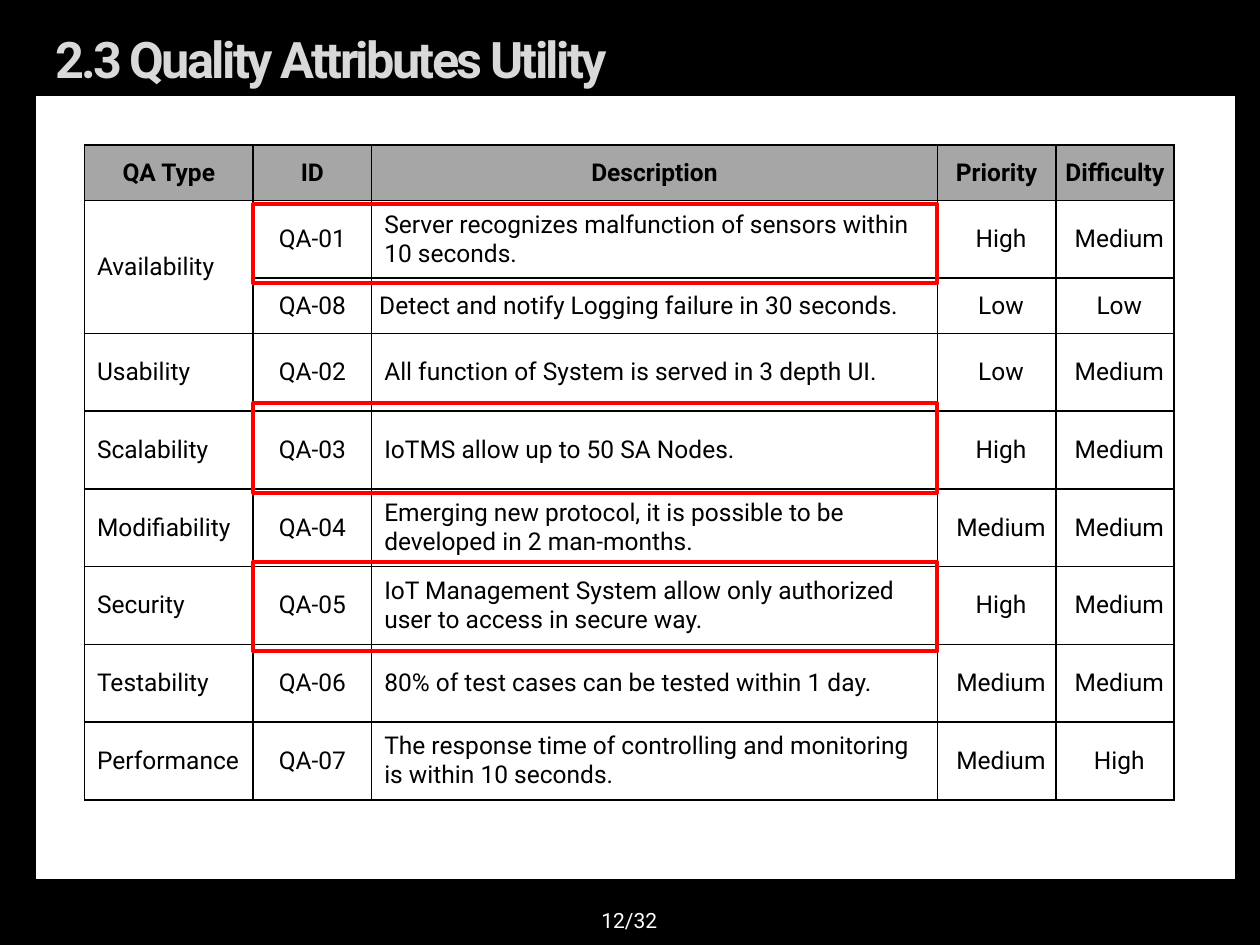
from lxml import etree
from pptx import Presentation
from pptx.dml.color import RGBColor
from pptx.enum.shapes import MSO_SHAPE
from pptx.enum.text import MSO_ANCHOR, PP_ALIGN
from pptx.oxml.ns import qn
from pptx.util import Inches, Pt

RECT = MSO_SHAPE.RECTANGLE
MIDDLE = MSO_ANCHOR.MIDDLE
LEFT, CENTER = PP_ALIGN.LEFT, PP_ALIGN.CENTER
WIDTH, HEIGHT = Inches(10), Inches(7.5)
COLS, ROWS = 100, 75

HEAD = ["QA Type", "ID", "Description", "Priority", "Difficulty"]
BODY = [
    ["Availability", "QA-01",
     "Server recognizes malfunction of sensors within 10 seconds.", "High", "Medium"],
    ["", "QA-08", "Detect and notify Logging failure in 30 seconds.", "Low", "Low"],
    ["Usability", "QA-02",
     "All function of System is served in 3 depth UI.", "Low", "Medium"],
    ["Scalability", "QA-03", "IoTMS allow up to 50 SA Nodes.", "High", "Medium"],
    ["Modifiability", "QA-04",
     "Emerging new protocol, it is possible to be developed in 2 man-months.",
     "Medium", "Medium"],
    ["Security", "QA-05",
     "IoT Management System allow only authorized user to access in secure way.",
     "High", "Medium"],
    ["Testability", "QA-06",
     "80% of test cases can be tested within 1 day.", "Medium", "Medium"],
    ["Performance", "QA-07",
     "The response time of controlling and monitoring is within 10 seconds.",
     "Medium", "High"],
]
WIDTHS = [13.4, 9.4, 44.9, 9.4, 9.4]
SHORT, TALL = 4.4, 6.17
HEIGHTS = [SHORT, TALL, SHORT] + [TALL] * 6
ALIGNS = [LEFT, CENTER, LEFT, CENTER, CENTER]


def color(code):
    return RGBColor.from_string(code)


def across(n):
    return round(n * WIDTH / COLS)


def down(n):
    return round(n * HEIGHT / ROWS)


def area(x, y, w, h):
    return across(x), down(y), across(w), down(h)


class Deck:
    """Holds the style and the current slide; lengths are grid columns and rows."""
    font, ink, paper, grey = "Roboto", "000000", "FFFFFF", "A6A6A6"

    def __init__(self):
        self.file = Presentation()
        self.file.slide_width, self.file.slide_height = WIDTH, HEIGHT
        self.slide = self.file.slides.add_slide(self.file.slide_layouts[6])
        back = self.slide.background.fill
        back.solid()
        back.fore_color.rgb = color(self.ink)

    def run(self, para, text, size, tint, bold=False, space=None):
        run = para.add_run()
        run.text = text
        font = run.font
        font.name, font.size, font.bold = self.font, Pt(size), bold
        font.color.rgb = color(tint)
        if space is not None:
            run._r.get_or_add_rPr().set("spc", str(round(space * 100)))

    def text(self, box, text, size, tint, align=LEFT, **look):
        frame = self.slide.shapes.add_textbox(*area(*box)).text_frame
        frame.word_wrap = True
        frame.vertical_anchor = MIDDLE
        para = frame.paragraphs[0]
        para.alignment = align
        self.run(para, text, size, tint, **look)

    def rect(self, box, line, weight, fill=None):
        shape = self.slide.shapes.add_shape(RECT, *area(*box))
        shape.shadow.inherit = False
        shape.line.color.rgb = color(line)
        shape.line.width = Pt(weight)
        if fill:
            shape.fill.solid()
            shape.fill.fore_color.rgb = color(fill)
        else:
            shape.fill.background()

    def border(self, cell):
        """Draw all four sides; they must come before the fill in the XML."""
        props = cell._tc.get_or_add_tcPr()
        for i, side in enumerate(("lnL", "lnR", "lnT", "lnB")):
            line = etree.Element(qn("a:" + side), w=str(Pt(1)))
            fill = etree.SubElement(line, qn("a:solidFill"))
            etree.SubElement(fill, qn("a:srgbClr"), val=self.ink)
            props.insert(i, line)

    def cell(self, cell, text, align, head, rating, tight):
        cell.fill.solid()
        cell.fill.fore_color.rgb = color(self.grey if head else self.paper)
        cell.vertical_anchor = MIDDLE
        para = cell.text_frame.paragraphs[0]
        para.alignment = CENTER if head else align
        if rating:
            cell.margin_left = 0 if head else Inches(0.07)
            cell.margin_right = cell.margin_top = cell.margin_bottom = 0
            if not head:
                para.space_after = Pt(2)
        elif tight:
            cell.margin_left = Inches(0.06 if align == LEFT else 0.01)
            cell.margin_right = cell.margin_top = Inches(0.01)
            cell.margin_bottom = 0
        if text:
            self.run(para, text, 14, self.ink, bold=head)
        self.border(cell)

    def table(self, x, y, rows):
        box = area(x, y, sum(WIDTHS), sum(HEIGHTS))
        grid = self.slide.shapes.add_table(len(rows), len(WIDTHS), *box).table
        for col, w in zip(grid.columns, WIDTHS):
            col.width = across(w)
        for r, (row, h) in enumerate(zip(rows, HEIGHTS)):
            grid.rows[r].height = down(h)
            for c, text in enumerate(row):
                self.cell(grid.cell(r, c), text, ALIGNS[c], head=r == 0,
                          rating=c > 2, tight=h == SHORT and 0 < r and 0 < c)
        grid.cell(1, 0).merge(grid.cell(2, 0))


def main():
    deck = Deck()
    deck.rect((2.8, 7.6, 95.3, 62.2), deck.ink, 0.75, deck.paper)
    deck.text((3.4, 2.1, 91.4, 5.1), "2.3 Quality Attributes Utility", 28.8,
              "D9D9D9", bold=True, space=-1.5)
    deck.text((38.3, 71, 23.3, 4), "12/32", 12, deck.paper, CENTER)
    deck.table(6.7, 11.5, [HEAD] + BODY)
    for top, high in ((16.2, 6.3), (32, 7.1), (44.6, 7.1)):
        deck.rect((20.1, top, 54.3, high), "FF0000", 2.25)
    deck.file.save("out.pptx")


if __name__ == "__main__":
    main()
